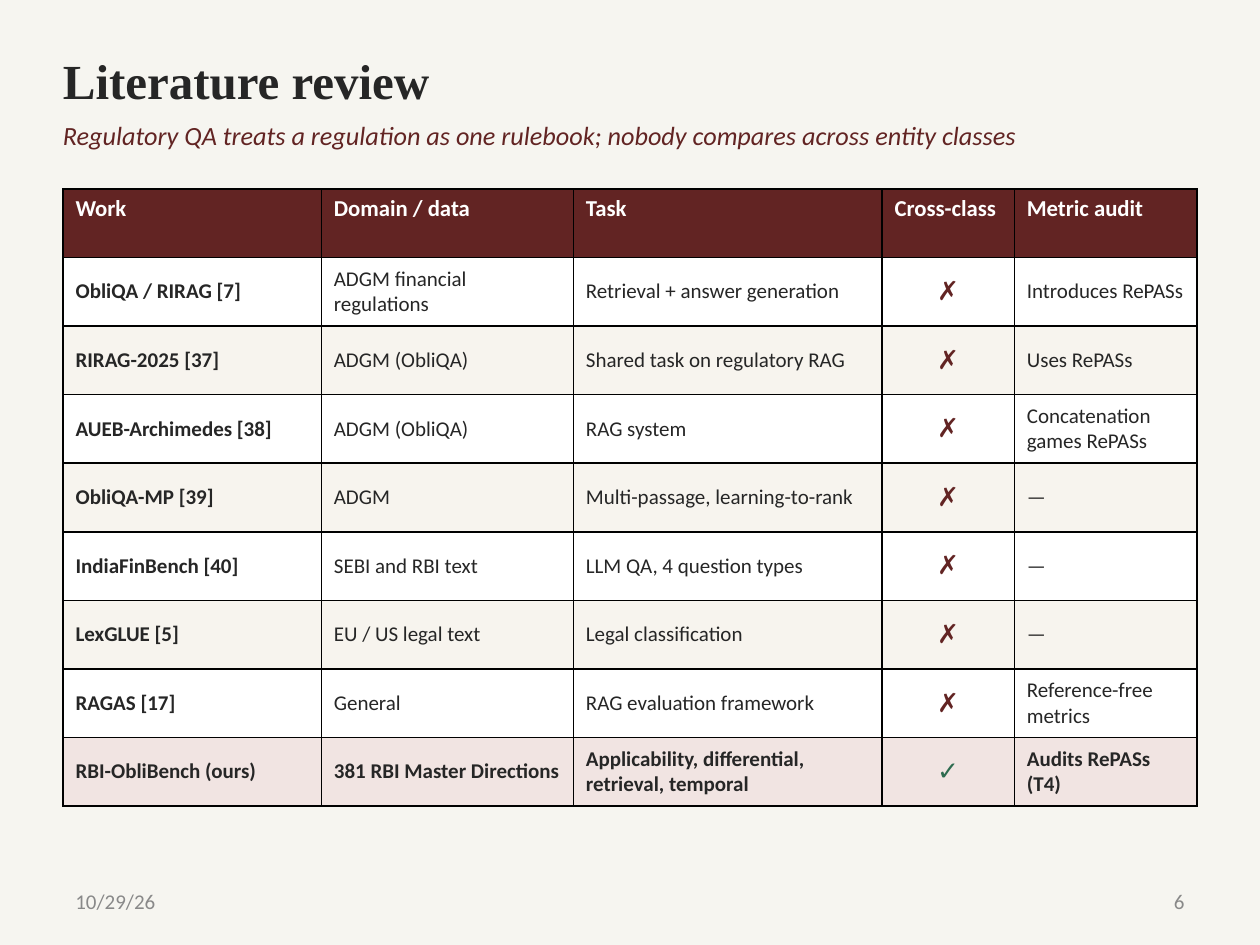
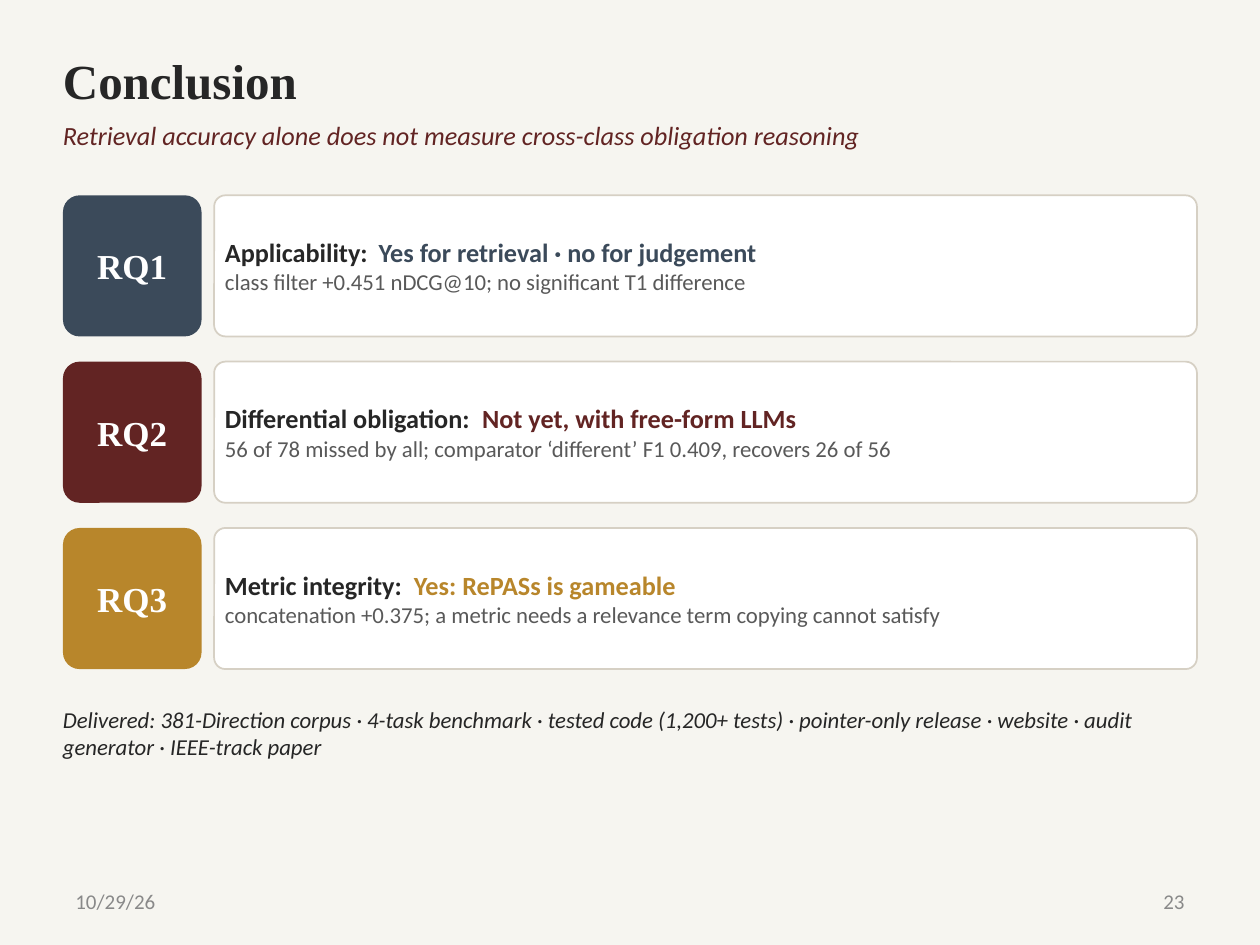
from lxml.etree import SubElement
from pptx import Presentation
from pptx.dml.color import RGBColor as Rgb
from pptx.enum.shapes import MSO_SHAPE as Kind
from pptx.enum.text import MSO_ANCHOR as Anchor, PP_ALIGN as Align
from pptx.oxml.ns import qn
from pptx.util import Emu, Pt

SCALE = 9144
WIDE, HIGH = 1000, 750
LEFT, SPAN = 50, 900

PAPER = Rgb(0xF6, 0xF5, 0xF0)
INK = Rgb(0x26, 0x26, 0x26)
WINE = Rgb(0x62, 0x24, 0x23)
SLATE = Rgb(0x3B, 0x4A, 0x5A)
GOLD = Rgb(0xB8, 0x86, 0x2B)
GREEN = Rgb(0x2E, 0x6B, 0x4F)
GREY = Rgb(0x59, 0x59, 0x59)
PALE = Rgb(0x89, 0x89, 0x89)
EDGE = Rgb(0xD6, 0xD0, 0xC4)
CREAM = Rgb(0xF7, 0xF4, 0xEE)
ROSE = Rgb(0xF1, 0xE4, 0xE2)
WHITE = Rgb(0xFF, 0xFF, 0xFF)
BLACK = Rgb(0, 0, 0)

SERIF = "Times New Roman"
SANS = "Calibri"
DATE = "10/29/26"

COLS = [205, 200, 245, 105, 145]
HEAD = ["Work", "Domain / data", "Task", "Cross-class", "Metric audit"]
WORKS = [
    ["ObliQA / RIRAG [7]", "ADGM financial regulations",
     "Retrieval + answer generation", "✗", "Introduces RePASs"],
    ["RIRAG-2025 [37]", "ADGM (ObliQA)",
     "Shared task on regulatory RAG", "✗", "Uses RePASs"],
    ["AUEB-Archimedes [38]", "ADGM (ObliQA)",
     "RAG system", "✗", "Concatenation games RePASs"],
    ["ObliQA-MP [39]", "ADGM",
     "Multi-passage, learning-to-rank", "✗", "—"],
    ["IndiaFinBench [40]", "SEBI and RBI text",
     "LLM QA, 4 question types", "✗", "—"],
    ["LexGLUE [5]", "EU / US legal text",
     "Legal classification", "✗", "—"],
    ["RAGAS [17]", "General",
     "RAG evaluation framework", "✗", "Reference-free metrics"],
    ["RBI-ObliBench (ours)", "381 RBI Master Directions",
     "Applicability, differential, retrieval, temporal", "✓",
     "Audits RePASs (T4)"],
]
MARKS = {"✗": WINE, "✓": GREEN}

CLAIMS = [
    ("RQ1", SLATE, "Applicability:", 122, "Yes for retrieval · no for judgement",
     "class filter +0.451 nDCG@10; no significant T1 difference"),
    ("RQ2", WINE, "Differential obligation:", 204, "Not yet, with free-form LLMs",
     "56 of 78 missed by all; comparator ‘different’ F1 0.409, recovers 26 of 56"),
    ("RQ3", GOLD, "Metric integrity:", 150, "Yes: RePASs is gameable",
     "concatenation +0.375; a metric needs a relevance term copying cannot satisfy"),
]
DONE = ("Delivered: 381-Direction corpus · 4-task benchmark · tested code "
        "(1,200+ tests) · pointer-only release · website · audit generator · "
        "IEEE-track paper")


def px(size):
    return Emu(size * SCALE)


def style(para, size, color, face=SANS, bold=False, italic=False, align=Align.LEFT):
    para.alignment = align
    font = para.font
    font.size, font.name = Pt(size), face
    font.bold, font.italic = bold, italic
    font.color.rgb = color


def inset(item, side, top):
    item.margin_left = item.margin_right = px(side)
    item.margin_top = item.margin_bottom = px(top)


def label(slide, text, box, size, color, pad=(0, 0), anchor=Anchor.TOP, **look):
    frame = slide.shapes.add_textbox(*map(px, box)).text_frame
    frame.word_wrap = True
    frame.vertical_anchor = anchor
    inset(frame, *pad)
    para = frame.paragraphs[0]
    para.text = text
    style(para, size, color, **look)


def card(slide, box, fill, curve, line=None):
    shape = slide.shapes.add_shape(Kind.ROUNDED_RECTANGLE, *map(px, box))
    shape.shadow.inherit = False
    shape.adjustments[0] = curve
    shape.fill.solid()
    shape.fill.fore_color.rgb = fill
    if line is None:
        shape.line.fill.background()
    else:
        shape.line.color.rgb = line
        shape.line.width = Pt(1)
    frame = shape.text_frame
    frame.word_wrap = True
    frame.vertical_anchor = Anchor.MIDDLE
    inset(frame, 6, 3)
    return frame


def tab(para, stop):
    tabs = SubElement(para._p.get_or_add_pPr(), qn("a:tabLst"))
    SubElement(tabs, qn("a:tab"), pos=str(px(stop)), algn="l")


def border(cell):
    props = cell._tc.get_or_add_tcPr()
    for spot, side in enumerate(("lnL", "lnR", "lnT", "lnB")):
        line = SubElement(props, qn(f"a:{side}"), w=str(Pt(1)))
        fill = SubElement(line, qn("a:solidFill"))
        SubElement(fill, qn("a:srgbClr"), val=str(BLACK))
        props.insert(spot, line)


def put(cell, text, fill, size, color, **look):
    cell.fill.solid()
    cell.fill.fore_color.rgb = fill
    border(cell)
    para = cell.text_frame.paragraphs[0]
    para.text = text
    style(para, size, color, **look)


def grid(slide):
    shape = slide.shapes.add_table(
        len(WORKS) + 1, len(COLS), *map(px, (LEFT, 150, SPAN, 490)))
    table = shape.table
    table.first_row = table.horz_banding = False
    for col, width in zip(table.columns, COLS):
        col.width = px(width)
    for col, text in enumerate(HEAD):
        put(table.cell(0, col), text, WINE, 13, WHITE, bold=True)
    for row, work in enumerate(WORKS, 1):
        ours = row == len(WORKS)
        fill = ROSE if ours else WHITE if row % 2 else CREAM
        for col, text in enumerate(work):
            cell = table.cell(row, col)
            cell.vertical_anchor = Anchor.MIDDLE
            inset(cell, 10, 4)
            if text in MARKS:
                put(cell, text, fill, 15, MARKS[text], bold=ours, align=Align.CENTER)
            else:
                put(cell, text, fill, 12, INK, bold=ours or col == 0)


def claim(slide, top, name, color, topic, stop, answer, proof):
    badge = card(slide, (LEFT, top, 110, 112), color, 0.12).paragraphs[0]
    badge.text = name
    style(badge, 20, WHITE, face=SERIF, bold=True, align=Align.CENTER)
    frame = card(slide, (170, top, 780, 112), WHITE, 0.08, EDGE)
    first = frame.paragraphs[0]
    tab(first, stop)
    style(first, 15, INK, bold=True)
    first.add_run().text = topic + "\t"
    run = first.add_run()
    run.text = answer
    run.font.color.rgb = color
    last = frame.add_paragraph()
    last.text = proof
    style(last, 13, GREY)


def page(deck, title, lead, number):
    slide = deck.slides.add_slide(deck.slide_layouts[6])
    back = slide.background.fill
    back.solid()
    back.fore_color.rgb = PAPER
    foot = dict(size=12, color=PALE, pad=(10, 5), anchor=Anchor.MIDDLE)
    label(slide, DATE, (LEFT, 695, 233, 40), **foot)
    label(slide, number, (717, 695, 233, 40), align=Align.RIGHT, **foot)
    label(slide, title, (LEFT, 32, SPAN, 62), 28, INK, pad=(0, 5),
          anchor=Anchor.MIDDLE, face=SERIF, bold=True)
    label(slide, lead, (LEFT, 95, SPAN, 42), 15, WINE, italic=True)
    return slide


def main():
    deck = Presentation()
    deck.slide_width, deck.slide_height = px(WIDE), px(HIGH)
    grid(page(
        deck, "Literature review",
        "Regulatory QA treats a regulation as one rulebook; "
        "nobody compares across entity classes", "6"))
    end = page(
        deck, "Conclusion",
        "Retrieval accuracy alone does not measure cross-class obligation reasoning",
        "23")
    for row, parts in enumerate(CLAIMS):
        claim(end, 155 + 132 * row, *parts)
    label(end, DONE, (LEFT, 560, SPAN, 80), 13, INK, italic=True)
    deck.save("out.pptx")


if __name__ == "__main__":
    main()
